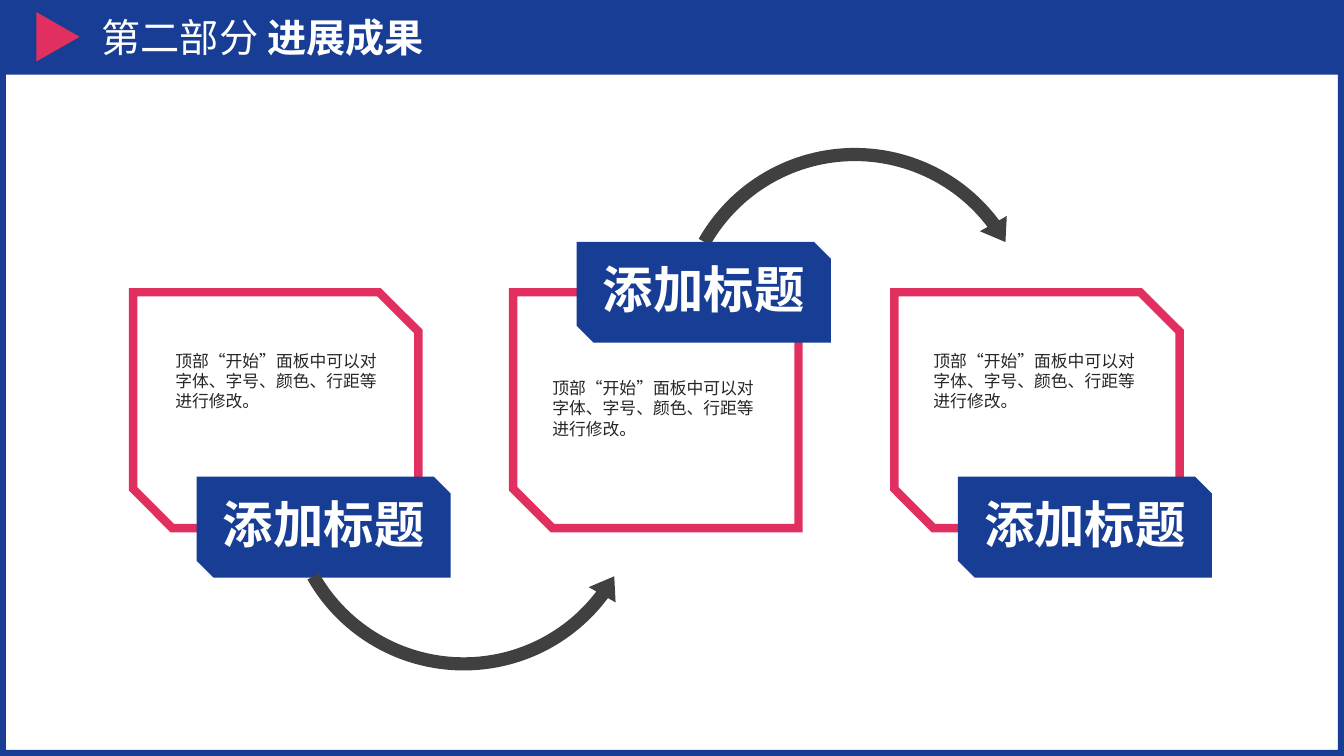
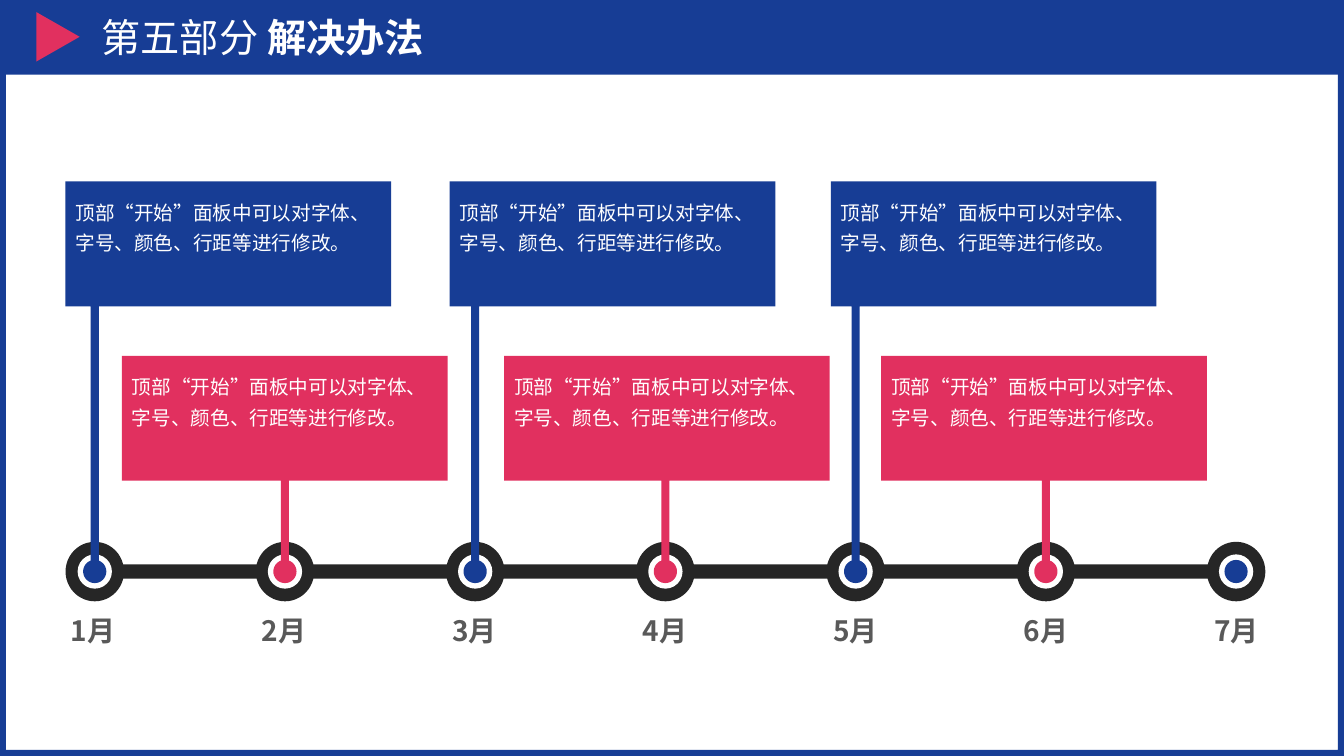
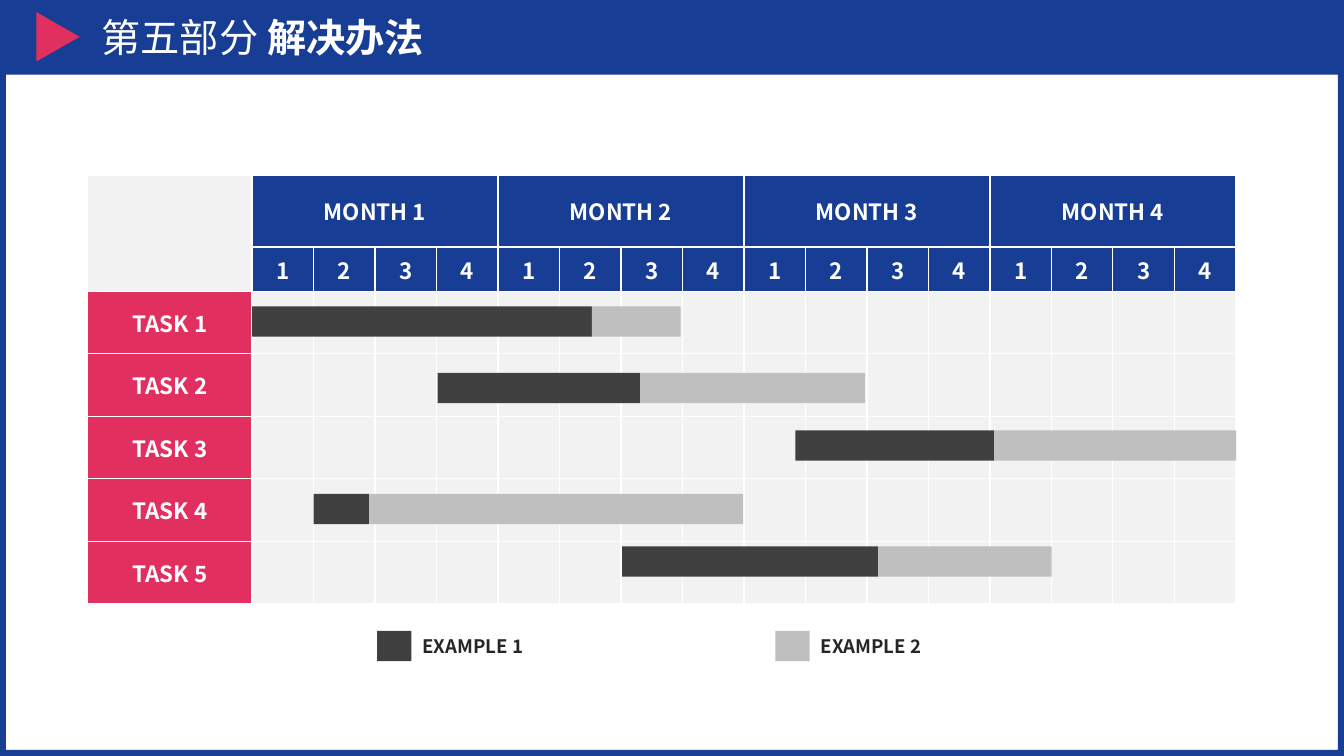
import math

from lxml import etree
from pptx import Presentation
from pptx.dml.color import RGBColor
from pptx.enum import shapes, text
from pptx.oxml.ns import qn
from pptx.util import Inches, Pt

FONT = "Noto Sans CJK SC"
BLUE = RGBColor(0x17, 0x3D, 0x95)
PINK = RGBColor(0xE1, 0x30, 0x5F)
WHITE = RGBColor(0xFF, 0xFF, 0xFF)
INK = RGBColor(0x26, 0x26, 0x26)
DARK = RGBColor(0x40, 0x40, 0x40)
GREY = RGBColor(0x59, 0x59, 0x59)
SILVER = RGBColor(0xBF, 0xBF, 0xBF)
PALE = RGBColor(0xF2, 0xF2, 0xF2)

SHAPE = shapes.MSO_SHAPE
CENTER = text.PP_ALIGN.CENTER
MIDDLE = text.MSO_ANCHOR.MIDDLE
BODY = "顶部“开始”面板中可以对字体、字号、颜色、行距等进行修改。"
HEADING = "添加标题"


def write(tf, *runs, size, color, bold=False, align=None, anchor=text.MSO_ANCHOR.TOP,
          spacing=None, before=None, insets=(0.1, 0.05, 0.1, 0.05)):
    """Write runs, each a string or a (string, bold) pair, as one paragraph."""
    tf.word_wrap = True
    tf.vertical_anchor = anchor
    tf.margin_left, tf.margin_top, tf.margin_right, tf.margin_bottom = map(Inches, insets)
    p = tf.paragraphs[0]
    p.alignment = align
    if spacing:
        p.line_spacing = spacing
    if before:
        p.space_before = Pt(before)
    for run in runs:
        content, weight = (run, bold) if isinstance(run, str) else run
        r = p.add_run()
        r.text = content
        r.font.name, r.font.size, r.font.bold = FONT, Pt(size), weight
        r.font.color.rgb = color
        ea = etree.SubElement(r.font._element, qn("a:ea"))
        ea.set("typeface", FONT)


def paint(sp, fill, line=None, width=1):
    """Give a shape a flat fill and an optional mitred outline."""
    sp.shadow.inherit = False
    sp.fill.solid()
    sp.fill.fore_color.rgb = fill
    if line is None:
        sp.line.fill.background()
    else:
        sp.line.color.rgb = line
        sp.line.width = Pt(width)
        miter = etree.SubElement(sp.line._get_or_add_ln(), qn("a:miter"))
        miter.set("lim", "800000")
    return sp


def add_shape(slide, kind, x, y, w, h, fill, **outline):
    """Add a painted preset shape."""
    box = map(Inches, (x, y, w, h))
    return paint(slide.shapes.add_shape(kind, *box), fill, **outline)


def add_text(slide, x, y, w, h, *runs, **style):
    """Add a text box."""
    sp = slide.shapes.add_textbox(*map(Inches, (x, y, w, h)))
    write(sp.text_frame, *runs, **style)


def add_disc(slide, cx, cy, w, h, fill):
    """Add an ellipse about a centre."""
    add_shape(slide, SHAPE.OVAL, cx - w / 2, cy - h / 2, w, h, fill)


def base_slide(prs, part, name):
    """Add a slide with the frame, top band, marker and title."""
    slide = prs.slides.add_slide(prs.slide_layouts[6])
    frame = add_shape(slide, SHAPE.FRAME, 0, 0, 13.33, 7.5, BLUE)
    frame.adjustments[0] = 0.008
    add_shape(slide, SHAPE.RECTANGLE, 0, 0, 13.33, 0.74, BLUE)
    marker = add_shape(slide, SHAPE.ISOSCELES_TRIANGLE, 0.33, 0.15, 0.49, 0.43, PINK)
    marker.rotation = 90
    add_text(slide, 0.91, 0, 11.98, 0.74, part + " ", (name, True),
             size=28, color=WHITE, anchor=MIDDLE, before=10)
    return slide


def add_arc(slide, x, y, flip=False):
    """Add a curved arrow, mirrored downwards on request."""
    arc = add_shape(slide, SHAPE.CIRCULAR_ARROW, x, y, 3.74, 3.74, DARK)
    for i, value in enumerate((0.035, 4.388, 193.857, 125.755, 0.041)):
        arc.adjustments[i] = value
    if flip:
        arc._element.spPr.find(qn("a:xfrm")).set("flipV", "1")


def add_panel(slide, x, y):
    """Add an outlined panel with clipped corners."""
    add_shape(slide, SHAPE.SNIP_2_DIAG_RECTANGLE, x, y, 2.83, 2.34, WHITE, line=PINK, width=6)


def add_tag(slide, x, y):
    """Add a blue heading tag."""
    tag = add_shape(slide, SHAPE.SNIP_2_DIAG_RECTANGLE, x, y, 2.52, 1, BLUE)
    write(tag.text_frame, HEADING, size=36, color=WHITE, bold=True, align=CENTER,
          anchor=MIDDLE, spacing=0.9, insets=(0.11, 0.08, 0.11, 0.08))


def progress_slide(prs):
    """Build three panels linked by curved arrows."""
    slide = base_slide(prs, "第二部分", "进展成果")
    top = 2.9
    panels = ((1.32, 1.83, 0.32, 0.53), (5.09, -0.5, 0.29, 0.8), (8.87, 1.83, 0.29, 0.53))
    for i, (x, tag_dy, text_dx, text_dy) in enumerate(panels):
        add_panel(slide, x, top)
        if i == 1:
            add_arc(slide, 6.61, 1.38)
        add_tag(slide, x + 0.63, top + tag_dy)
        add_text(slide, x + text_dx, top + text_dy, 2.31, 0.71, BODY, size=12, color=INK)
    add_arc(slide, 2.73, 3, flip=True)


def add_flag(slide, x, y, stem_x, ball_y, fill):
    """Add a text card whose stem ends in a round dot."""
    w, h, half, radius = 3.23, 1.24, 0.04, 0.115
    gap = math.asin(half / radius)
    steps = 36
    angles = [gap + (2 * math.pi - 2 * gap) * i / steps for i in range(steps + 1)]
    ball = [(stem_x + radius * math.sin(a), ball_y - radius * math.cos(a)) for a in angles]
    points = [(x, y), (x + w, y), (x + w, y + h), (stem_x + half, y + h), *ball,
              (stem_x - half, y + h), (x, y + h)]
    points = [(Inches(px), Inches(py)) for px, py in points]
    builder = slide.shapes.build_freeform(*points[0])
    builder.add_line_segments(points[1:], close=True)
    flag = paint(builder.convert_to_shape(), fill)
    write(flag.text_frame, BODY, size=14, color=WHITE, align=text.PP_ALIGN.LEFT,
          spacing=1.3, insets=(0.1, 0.12, 0.1, 0.05))


def timeline_slide(prs):
    """Build a seven-month timeline with cards above it."""
    slide = base_slide(prs, "第五部分", "解决办法")
    first, last, axis_y = 0.94, 12.26, 5.67
    centers = [first + (last - first) / 6 * i for i in range(7)]
    add_shape(slide, SHAPE.RECTANGLE, first, axis_y - 0.07, last - first, 0.14, INK)
    for cx in centers:
        add_disc(slide, cx, axis_y, 0.58, 0.59, INK)
        add_disc(slide, cx, axis_y, 0.34, 0.34, WHITE)
    add_disc(slide, last, axis_y, 0.23, 0.23, BLUE)
    lefts = (0.65, 1.21, 4.46, 5, 8.24, 8.74)
    for start, y, fill in ((1, 3.53, PINK), (0, 1.8, BLUE)):
        for i in range(start, 6, 2):
            add_flag(slide, lefts[i], y, centers[i], axis_y, fill)
    for i in range(7):
        add_text(slide, 0.39 + 1.89 * i, 6.04, 1.07, 0.45, f"{i + 1}月",
                 size=20, color=GREY, bold=True, align=CENTER)


def style_cell(cell, fill, label=""):
    """Fill a cell, give it white borders and write its label."""
    tc_pr = cell._tc.get_or_add_tcPr()
    for side in ("lnL", "lnR", "lnT", "lnB"):
        ln = etree.SubElement(tc_pr, qn(f"a:{side}"), w=str(Pt(1)))
        solid = etree.SubElement(ln, qn("a:solidFill"))
        etree.SubElement(solid, qn("a:srgbClr"), val=str(WHITE))
    cell.fill.solid()
    cell.fill.fore_color.rgb = fill
    if label:
        write(cell.text_frame, label, size=16, color=WHITE, bold=True, align=CENTER)
    cell.vertical_anchor = MIDDLE
    cell.margin_left = cell.margin_right = Inches(0.13)
    cell.margin_top = cell.margin_bottom = Inches(0.07)


def add_schedule(slide, x, y):
    """Add the task table: four months of four weeks, five tasks."""
    widths = [1.63] + [0.61] * 16
    heights = [0.71, 0.42] + [0.62] * 5
    box = map(Inches, (x, y, sum(widths), sum(heights)))
    table = slide.shapes.add_table(len(heights), len(widths), *box).table
    table.first_row = table.horz_banding = False
    for column, width in zip(table.columns, widths):
        column.width = Inches(width)
    for row, height in zip(table.rows, heights):
        row.height = Inches(height)
    for i in range(len(heights)):
        for j in range(len(widths)):
            fill, label = PALE, ""
            if i < 2 and j:
                fill = BLUE
                if i:
                    label = str((j - 1) % 4 + 1)
                elif j % 4 == 1:
                    label = f"MONTH {j // 4 + 1}"
            elif i >= 2 and j == 0:
                fill, label = PINK, f"TASK {i - 1}"
            style_cell(table.cell(i, j), fill, label)
    table.cell(0, 0).merge(table.cell(1, 0))
    for j in range(1, 17, 4):
        table.cell(0, j).merge(table.cell(0, j + 3))


def schedule_slide(prs):
    """Build the task schedule with its bars and legend."""
    slide = base_slide(prs, "第五部分", "解决办法")
    add_schedule(slide, 0.87, 1.74)
    for i, (x, fill) in enumerate(((3.74, DARK), (7.69, SILVER)), 1):
        add_shape(slide, SHAPE.RECTANGLE, x, 6.26, 0.34, 0.3, fill)
        add_text(slide, x + 0.35, 6.25, 1.55, 0.33, f"EXAMPLE {i}",
                 size=13.3, color=INK, bold=True)
    bars = ((2.5, 3.04, 3.37, 0.88), (4.34, 3.7, 2.01, 2.23), (7.89, 4.27, 1.97, 2.4),
            (3.11, 4.9, 0.55, 3.71), (6.17, 5.42, 2.54, 1.72))
    for x, y, first, second in bars:
        add_shape(slide, SHAPE.RECTANGLE, x, y, first, 0.3, DARK)
        add_shape(slide, SHAPE.RECTANGLE, x + first, y, second, 0.3, SILVER)


def main():
    """Build and save the presentation."""
    prs = Presentation()
    prs.slide_width, prs.slide_height = Inches(13.33), Inches(7.5)
    progress_slide(prs)
    timeline_slide(prs)
    schedule_slide(prs)
    prs.save("out.pptx")


if __name__ == "__main__":
    main()
